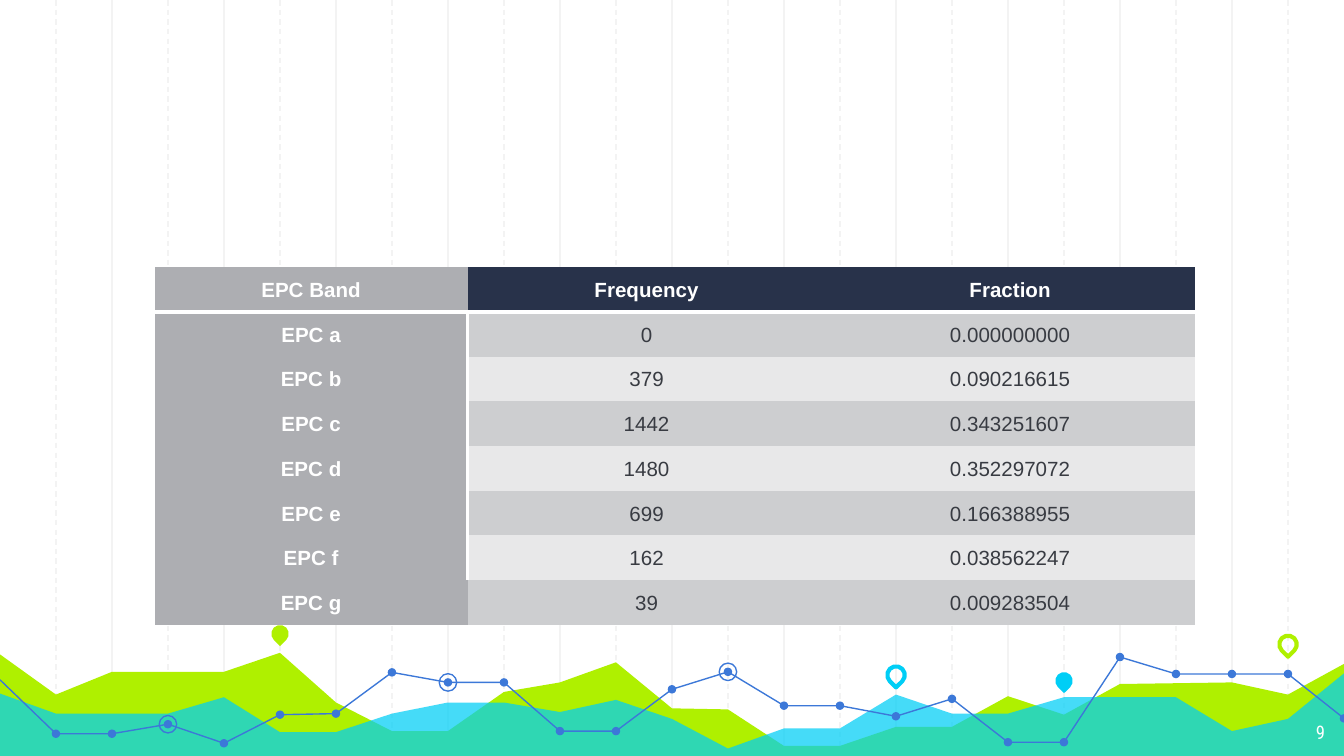
from lxml.etree import SubElement
from pptx import Presentation
from pptx.dml.color import RGBColor
from pptx.enum.dml import MSO_LINE
from pptx.enum.shapes import MSO_CONNECTOR, MSO_SHAPE
from pptx.enum.text import MSO_ANCHOR, PP_ALIGN
from pptx.oxml.ns import qn
from pptx.util import Cm, Pt

WIDTH, HEIGHT = 25.4, 14.29
STEP = WIDTH / 24
BOTTOM = 14.35
WHITE, GRID, LIME, CYAN, BLUE = "FFFFFF", "F3F3F3", "AFF000", "00CEF6", "3C78D8"
NAVY, GREY, INK = "28324A", "ADAEB2", "383B42"
STRIPES = ("CDCED0", "E8E8E9")
NO_STYLE = "{2D5ABB26-0587-4C30-8999-92F81FD0307C}"

LIME_WAVE = {0: 12.37, 1: 13.13, 2: 12.7, 4: 12.7, 5: 12.34, 6: 13.28, 7: 13.82, 8: 13.82,
             9: 13.08, 10: 12.9, 11: 12.52, 12: 13.39, 13: 13.41, 14: 14.1, 15: 14.1,
             16: 13.74, 17: 13.74, 18: 13.16, 19: 13.51, 20: 12.93, 22: 12.9, 23: 13.13,
             24: 12.55}
CYAN_WAVE = {0: 13.11, 1: 13.49, 3: 13.49, 4: 13.18, 5: 13.84, 6: 13.84, 7: 13.49, 8: 13.28,
             9: 13.28, 10: 13.46, 11: 13.23, 12: 13.59, 13: 14.15, 14: 13.77, 15: 13.77,
             16: 13.13, 17: 13.49, 18: 13.49, 19: 13.18, 21: 13.18, 22: 13.82, 23: 13.59,
             24: 12.73}
TREND = [12.85, 13.87, 13.87, 13.69, 14.05, 13.51, 13.49, 12.71, 12.9, 12.9, 13.82, 13.82,
         13.03, 12.7, 13.34, 13.34, 13.54, 13.21, 14.03, 14.03, 12.42, 12.74, 12.74, 12.74,
         13.58]
TREND_PARTS = ((0, 11), (11, 20), (20, 24))
RINGS = (3, 8, 13)
PINS = ((5, 11.98, LIME, True), (16, 12.76, CYAN, False),
        (19, 12.87, CYAN, True), (23, 12.18, LIME, False))

ROWS = (("EPC Band", "Frequency", "Fraction"),
        ("EPC a", "0", "0.000000000"),
        ("EPC b", "379", "0.090216615"),
        ("EPC c", "1442", "0.343251607"),
        ("EPC d", "1480", "0.352297072"),
        ("EPC e", "699", "0.166388955"),
        ("EPC f", "162", "0.038562247"),
        ("EPC g", "39", "0.009283504"))
COLUMN_WIDTHS = (5.92, 6.76, 6.98)


def color(value):
    return RGBColor.from_string(value)


def paint(shape, fill=None, line=None, weight=0.75):
    shape.shadow.inherit = False
    if fill:
        shape.fill.solid()
        shape.fill.fore_color.rgb = color(fill)
    else:
        shape.fill.background()
    if line:
        shape.line.color.rgb = color(line)
        shape.line.width = Pt(weight)
    else:
        shape.line.fill.background()


def add_outline(slide, points, close):
    (start_x, start_y), *others = [(Cm(x), Cm(y)) for x, y in points]
    builder = slide.shapes.build_freeform(start_x, start_y, scale=1.0)
    builder.add_line_segments(others, close=close)
    return builder.convert_to_shape()


def add_centered(slide, kind, column, middle, size):
    return slide.shapes.add_shape(kind, Cm(column * STEP - size / 2), Cm(middle - size / 2),
                                  Cm(size), Cm(size))


def add_grid(slide, top, bottom):
    for column in [*range(2, 24, 2), *range(1, 24, 2)]:
        x = Cm(column * STEP)
        line = slide.shapes.add_connector(MSO_CONNECTOR.STRAIGHT, x, Cm(top), x, Cm(bottom))
        line.line.color.rgb = color(GRID)
        line.line.width = Pt(0.75)
        if column % 2:
            line.line.dash_style = MSO_LINE.DASH
        SubElement(line.element.spPr, qn("a:effectLst"))


def add_wave(slide, heights, fill, bottom, opacity=100):
    crest = [(column * STEP, y) for column, y in heights.items()]
    wave = add_outline(slide, crest + [(25.45, bottom), (-0.08, bottom)], True)
    paint(wave, fill)
    if opacity < 100:
        fill_color = wave.element.spPr.find(qn("a:solidFill")).find(qn("a:srgbClr"))
        SubElement(fill_color, qn("a:alpha"), val=str(opacity * 1000))


def add_pins(slide):
    for column, middle, shade, filled in PINS:
        pin = add_centered(slide, MSO_SHAPE.TEAR, column, middle, 0.33)
        pin.rotation = 135
        if filled:
            paint(pin, shade)
        else:
            paint(pin, line=shade, weight=2.25)


def add_trend(slide):
    for first, last in TREND_PARTS:
        points = [(column * STEP, TREND[column]) for column in range(first, last + 1)]
        paint(add_outline(slide, points, False), line=BLUE)
    for column, middle in enumerate(TREND[1:], 1):
        paint(add_centered(slide, MSO_SHAPE.OVAL, column, middle, 0.16), BLUE)
    for column in RINGS:
        paint(add_centered(slide, MSO_SHAPE.OVAL, column, TREND[column], 0.33), line=BLUE)


def format_text(paragraph, font_name, size, shade, alignment, bold=False):
    paragraph.alignment = alignment
    for run in paragraph.runs:
        run.font.name = font_name
        run.font.size = Pt(size)
        run.font.bold = bold
        run.font.color.rgb = color(shade)


def add_page_number(slide, left, top, width, height):
    text_frame = slide.shapes.add_textbox(Cm(left), Cm(top), Cm(width), Cm(height)).text_frame
    text_frame.word_wrap = True
    text_frame.margin_left = text_frame.margin_right = Cm(0.25)
    text_frame.margin_top = text_frame.margin_bottom = Cm(0.25)
    text_frame.text = "9"
    format_text(text_frame.paragraphs[0], "Roboto Condensed", 10, WHITE, PP_ALIGN.RIGHT)


def add_border(cell, edge):
    properties = cell._tc.get_or_add_tcPr()
    border = SubElement(properties, qn(edge), w=str(Pt(2)))
    SubElement(SubElement(border, qn("a:solidFill")), qn("a:srgbClr"), val=WHITE)


def fill_cell(cell, text, row, column):
    heading = row == 0 or column == 0
    if row == 0:
        add_border(cell, "a:lnB")
    elif column == 0 and row < len(ROWS) - 1:
        add_border(cell, "a:lnR")
    cell.fill.solid()
    if column == 0:
        cell.fill.fore_color.rgb = color(GREY)
    else:
        cell.fill.fore_color.rgb = color(NAVY if row == 0 else STRIPES[(row - 1) % 2])
    cell.margin_left = cell.margin_right = Cm(0.18)
    cell.margin_top = cell.margin_bottom = 0
    cell.vertical_anchor = MSO_ANCHOR.MIDDLE
    cell.text_frame.text = text
    paragraph = cell.text_frame.paragraphs[0]
    paragraph.line_spacing = 1.07
    paragraph.space_after = Pt(8)
    format_text(paragraph, "Arial", 11, WHITE if heading else INK, PP_ALIGN.CENTER, heading)


def add_band_table(slide, left, top, height):
    frame = slide.shapes.add_table(len(ROWS), len(COLUMN_WIDTHS), Cm(left), Cm(top),
                                   Cm(sum(COLUMN_WIDTHS)), Cm(height))
    table = frame.table
    table.first_row = table.horz_banding = False
    next(frame.element.iter(qn("a:tableStyleId"))).text = NO_STYLE
    for column, width in zip(table.columns, COLUMN_WIDTHS):
        column.width = Cm(width)
    for row, texts in enumerate(ROWS):
        table.rows[row].height = Cm(height / len(ROWS))
        for column, text in enumerate(texts):
            fill_cell(table.cell(row, column), text, row, column)


def main():
    presentation = Presentation()
    presentation.slide_width = Cm(WIDTH)
    presentation.slide_height = Cm(HEIGHT)
    slide = presentation.slides.add_slide(presentation.slide_layouts[6])
    add_grid(slide, 0, BOTTOM)
    add_wave(slide, LIME_WAVE, LIME, BOTTOM)
    add_wave(slide, CYAN_WAVE, CYAN, BOTTOM, 73)
    add_pins(slide)
    add_trend(slide)
    add_page_number(slide, 23.77, 13.41, 1.52, 0.89)
    add_band_table(slide, 2.92, 5.05, 6.76)
    presentation.save("out.pptx")


if __name__ == "__main__":
    main()
